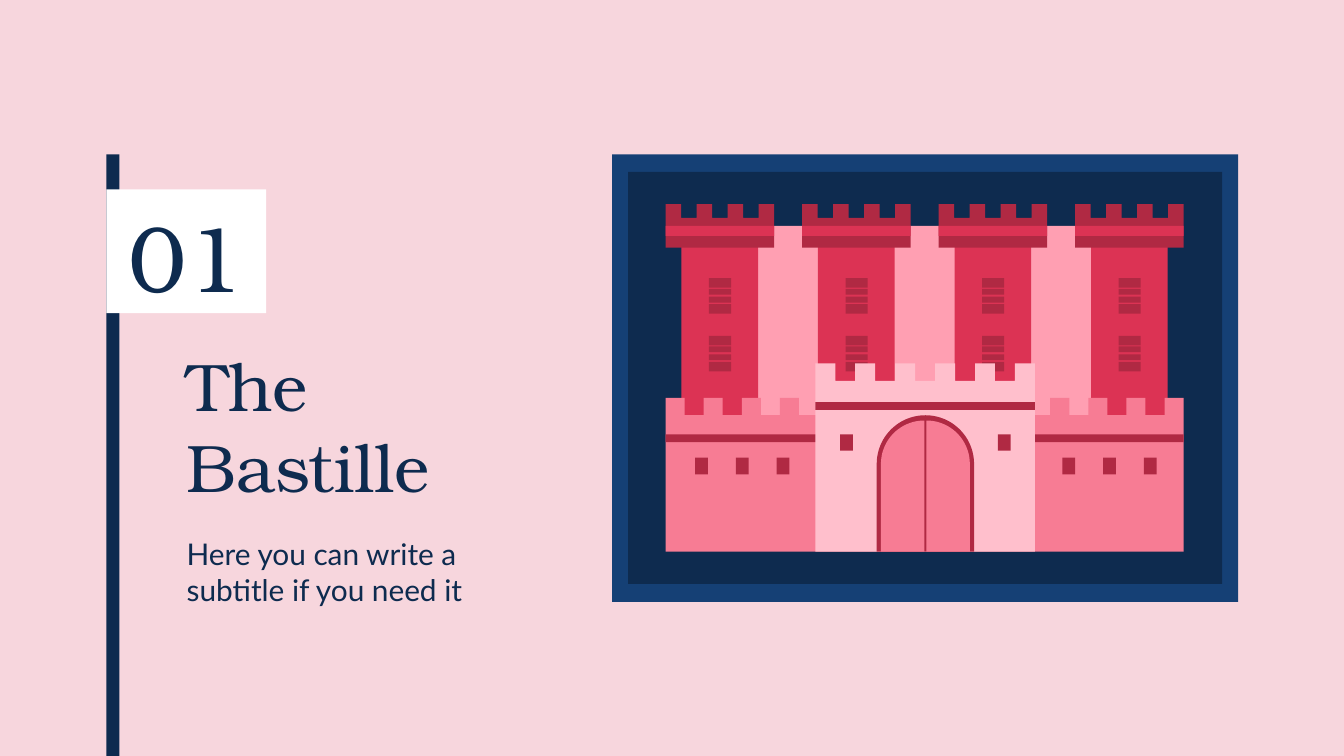
"""Build a section slide with a numbered title and a framed castle."""
import math

from pptx import Presentation
from pptx import util as u
from pptx.dml.color import RGBColor
from pptx.enum import shapes, text

BLUSH = RGBColor(0xF7, 0xD6, 0xDD)
NAVY = RGBColor(0x0E, 0x2B, 0x4F)
BLUE = RGBColor(0x15, 0x40, 0x75)
WHITE = RGBColor(0xFF, 0xFF, 0xFF)
PINK = RGBColor(0xFF, 0x9F, 0xB2)
PALE = RGBColor(0xFF, 0xBF, 0xCC)
ROSE = RGBColor(0xF7, 0x7C, 0x94)
RED = RGBColor(0xDC, 0x33, 0x54)
DARK_RED = RGBColor(0xB0, 0x29, 0x43)

CASTLE_LEFT, CASTLE_WIDTH, GROUND = 12.58, 9.79, 10.43
GATE_LEFT, GATE_WIDTH = 15.41, 4.15
TOWER_PITCH, CAP_WIDTH = 2.58, 2.05
WALL_MERLON = 0.36


class Painter:
    serif = "TeX Gyre Bonum"
    sans = "Lato"
    inset = u.Cm(0.25)

    def __init__(self, slide):
        self.slide = slide

    def background(self, color):
        fill = self.slide.background.fill
        fill.solid()
        fill.fore_color.rgb = color

    def finish(self, shape, color):
        shape.shadow.inherit = False
        shape.fill.solid()
        shape.fill.fore_color.rgb = color
        shape.line.fill.background()

    def rectangle(self, left, top, width, height, color):
        box = [u.Cm(value) for value in (left, top, width, height)]
        shape = self.slide.shapes.add_shape(shapes.MSO_SHAPE.RECTANGLE, *box)
        self.finish(shape, color)

    def outline(self, points, color):
        corners = [(u.Cm(x), u.Cm(y)) for x, y in points]
        builder = self.slide.shapes.build_freeform(*corners[0])
        builder.add_line_segments(corners[1:], close=True)
        self.finish(builder.convert_to_shape(), color)

    def battlement(self, merlons, width, top, notch, bottom, color):
        points = []
        for left in merlons:
            right = left + width
            points += [(left, notch), (left, top), (right, top), (right, notch)]
        points += [(points[-1][0], bottom), (points[0][0], bottom)]
        self.outline(points, color)

    def arch(self, center, spring, radius, start, end, color):
        points = []
        for degrees in range(start, end - 1, -3):
            angle = math.radians(degrees)
            points.append((center + radius * math.cos(angle), spring - radius * math.sin(angle)))
        points += [(points[-1][0], GROUND), (points[0][0], GROUND)]
        self.outline(points, color)

    def label(self, left, top, width, height, words, size, font, **formats):
        box = [u.Cm(value) for value in (left, top, width, height)]
        frame = self.slide.shapes.add_textbox(*box).text_frame
        frame_format = {"word_wrap": True, "vertical_anchor": formats.get("anchor", text.MSO_ANCHOR.TOP)}
        for side in ("left", "top", "right", "bottom"):
            frame_format[f"margin_{side}"] = self.inset
        for name, value in frame_format.items():
            setattr(frame, name, value)
        paragraph = frame.paragraphs[0]
        paragraph.alignment = formats.get("align", text.PP_ALIGN.LEFT)
        run = paragraph.add_run()
        run.text = words
        for name, value in {"name": font, "size": u.Pt(size)}.items():
            setattr(run.font, name, value)
        run.font.color.rgb = NAVY


def draw_tower(painter, left):
    painter.rectangle(left + 0.3, 4.52, 1.45, 3.84, RED)
    merlon = CAP_WIDTH / 7
    painter.battlement([left + 2 * i * merlon for i in range(4)], merlon, 3.86, 4.12, 4.68, DARK_RED)
    painter.rectangle(left, 4.27, CAP_WIDTH, 0.19, RED)
    for window_top in (5.26, 6.35):
        for offset, height in ((0, 0.18), (0.2, 0.11), (0.35, 0.11), (0.49, 0.18)):
            painter.rectangle(left + 0.82, window_top + offset, 0.42, height, DARK_RED)


def draw_walls(painter):
    right_start = CASTLE_LEFT + CASTLE_WIDTH - 7 * WALL_MERLON
    merlons = [start + 2 * i * WALL_MERLON for start in (CASTLE_LEFT, right_start) for i in range(4)]
    painter.battlement(merlons, WALL_MERLON, 7.52, 7.85, GROUND, ROSE)
    painter.rectangle(CASTLE_LEFT, 8.21, CASTLE_WIDTH, 0.15, DARK_RED)
    for start in (13.14, 20.08):
        for i in range(3):
            painter.rectangle(start + 0.77 * i, 8.65, 0.24, 0.32, DARK_RED)


def draw_gate(painter):
    merlon = GATE_WIDTH / 11
    painter.battlement([GATE_LEFT + 2 * i * merlon for i in range(6)], merlon, 6.87, 7.2, GROUND, PALE)
    painter.rectangle(GATE_LEFT, 7.6, GATE_WIDTH, 0.15, DARK_RED)
    for left in (15.88, 18.86):
        painter.rectangle(left, 8.21, 0.24, 0.31, DARK_RED)
    painter.arch(17.49, 8.77, 0.92, 180, 0, DARK_RED)
    painter.arch(17.47, 8.77, 0.82, 180, 90, ROSE)
    painter.arch(17.51, 8.77, 0.82, 90, 0, ROSE)


def main():
    presentation = Presentation()
    presentation.slide_width = u.Cm(25.4)
    presentation.slide_height = u.Cm(14.29)
    painter = Painter(presentation.slides.add_slide(presentation.slide_layouts[6]))
    painter.background(BLUSH)
    middle = text.MSO_ANCHOR.MIDDLE
    painter.label(3.28, 6.12, 7.01, 3.84, "The Bastille", 36, painter.serif, anchor=middle)
    painter.label(3.28, 9.88, 7.01, 2.11, "Here you can write a subtitle if you need it", 16, painter.sans)

    painter.rectangle(11.57, 2.92, 11.83, 8.46, BLUE)
    painter.rectangle(11.87, 3.25, 11.23, 7.79, NAVY)
    painter.rectangle(12.9, 4.27, 9.14, 3.68, PINK)
    for i in range(4):
        draw_tower(painter, CASTLE_LEFT + TOWER_PITCH * i)
    draw_walls(painter)
    draw_gate(painter)

    painter.rectangle(2.01, 2.92, 0.25, 11.37, NAVY)
    painter.rectangle(2.01, 3.58, 3.02, 2.34, WHITE)
    painter.label(2.01, 3.66, 3.02, 2.34, "01", 50, painter.serif,
                  anchor=middle, align=text.PP_ALIGN.CENTER)
    presentation.save("out.pptx")


if __name__ == "__main__":
    main()
